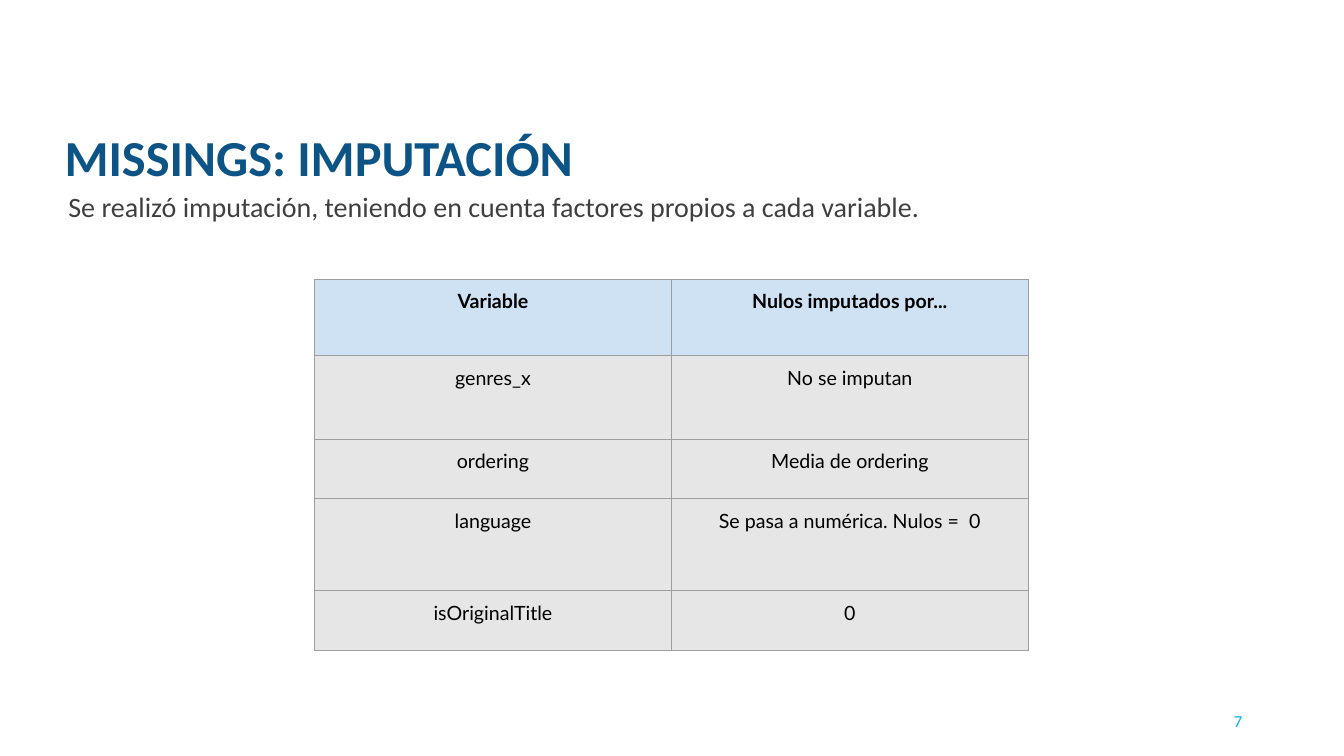
from lxml.etree import SubElement
from pptx import Presentation
from pptx.dml.color import RGBColor
from pptx.enum.text import MSO_ANCHOR, PP_ALIGN
from pptx.oxml.ns import qn
from pptx.util import Pt

SCALE = 9144  # EMU per px, 100 px to the inch
ROWS = [
    ("Variable", "Nulos imputados por..."),
    ("genres_x", "No se imputan"),
    ("ordering", "Media de ordering"),
    ("language", "Se pasa a numérica. Nulos =  0"),
    ("isOriginalTitle", "0"),
]
HEIGHTS = [76, 83, 59, 91, 59]
WIDTH = 354


def px(count):
    return count * SCALE


def color(code):
    return RGBColor.from_string(code)


def style(para, size, face, code, bold=False, align=PP_ALIGN.LEFT):
    para.alignment = align
    for run in para.runs:
        font = run.font
        font.size, font.name, font.bold = Pt(size), face, bold
        font.color.rgb = color(code)


def add_text(slide, box, text, size, code, bold=False, align=PP_ALIGN.LEFT,
             anchor=MSO_ANCHOR.TOP, inset=10, spacing=None):
    frame = slide.shapes.add_textbox(*map(px, box)).text_frame
    frame.word_wrap = True
    frame.vertical_anchor = anchor
    frame.margin_left = frame.margin_right = px(inset)
    frame.margin_top = frame.margin_bottom = px(5)
    frame.text = text
    para = frame.paragraphs[0]
    para.line_spacing = spacing
    style(para, size, "Calibri", code, bold, align)


def add_border(cell, code, width):
    """Draw all four sides; call before the fill, which must follow in the XML."""
    props = cell._tc.get_or_add_tcPr()
    for side in ("lnL", "lnR", "lnT", "lnB"):
        line = SubElement(props, qn(f"a:{side}"), w=str(Pt(width)))
        fill = SubElement(line, qn("a:solidFill"))
        SubElement(fill, qn("a:srgbClr"), val=code)


def fill_cell(cell, text, head):
    cell.margin_left = cell.margin_right = px(10)
    cell.margin_top = cell.margin_bottom = px(10)
    add_border(cell, "9E9E9E", 0.75)
    cell.fill.solid()
    cell.fill.fore_color.rgb = color("CFE2F3" if head else "E7E6E6")
    cell.text = text
    style(cell.text_frame.paragraphs[0], 14, "Lato", "000000", head,
          PP_ALIGN.CENTER)


def add_grid(slide, left, top):
    count = len(ROWS[0])
    table = slide.shapes.add_table(
        len(ROWS), count, px(left), px(top),
        px(WIDTH * count), px(sum(HEIGHTS))).table
    for column in table.columns:
        column.width = px(WIDTH)
    for r, (texts, height) in enumerate(zip(ROWS, HEIGHTS)):
        table.rows[r].height = px(height)
        for c, text in enumerate(texts):
            fill_cell(table.cell(r, c), text, r == 0)


def main():
    deck = Presentation()
    deck.slide_width, deck.slide_height = px(1333), px(750)
    slide = deck.slides.add_slide(deck.slide_layouts[6])
    add_text(slide, (942, 695, 300, 40), "7", 12, "00B0F0",
             align=PP_ALIGN.RIGHT, anchor=MSO_ANCHOR.MIDDLE)
    add_text(slide, (52, 113, 873, 71), "MISSINGS: IMPUTACIÓN", 36, "0D5486",
             bold=True, anchor=MSO_ANCHOR.MIDDLE, inset=12, spacing=1.23)
    add_text(slide, (58, 183, 1217, 44),
             "Se realizó imputación, teniendo en cuenta factores propios "
             "a cada variable.", 20, "3F3F3F")
    add_grid(slide, 312, 277)
    deck.save("out.pptx")


if __name__ == "__main__":
    main()
